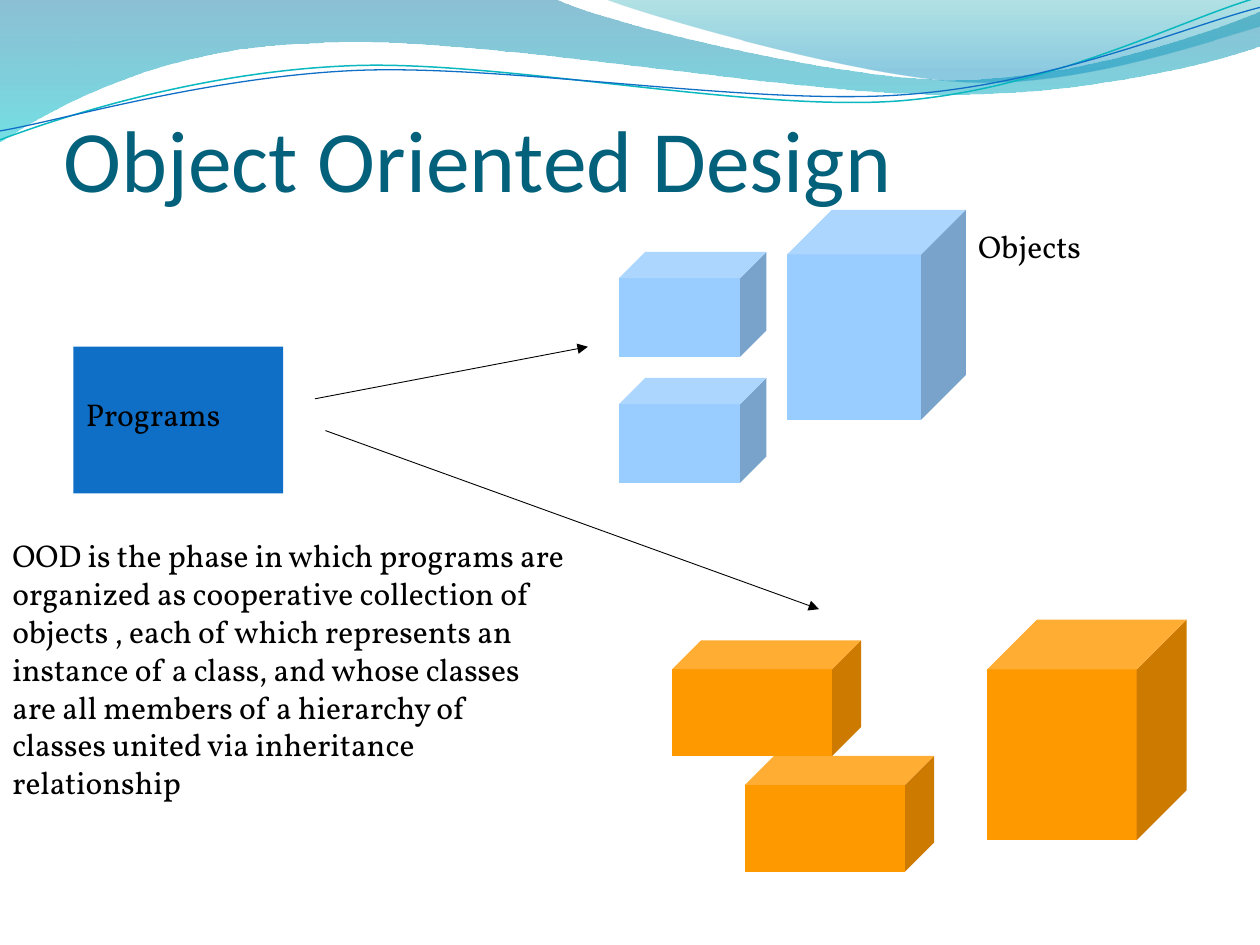
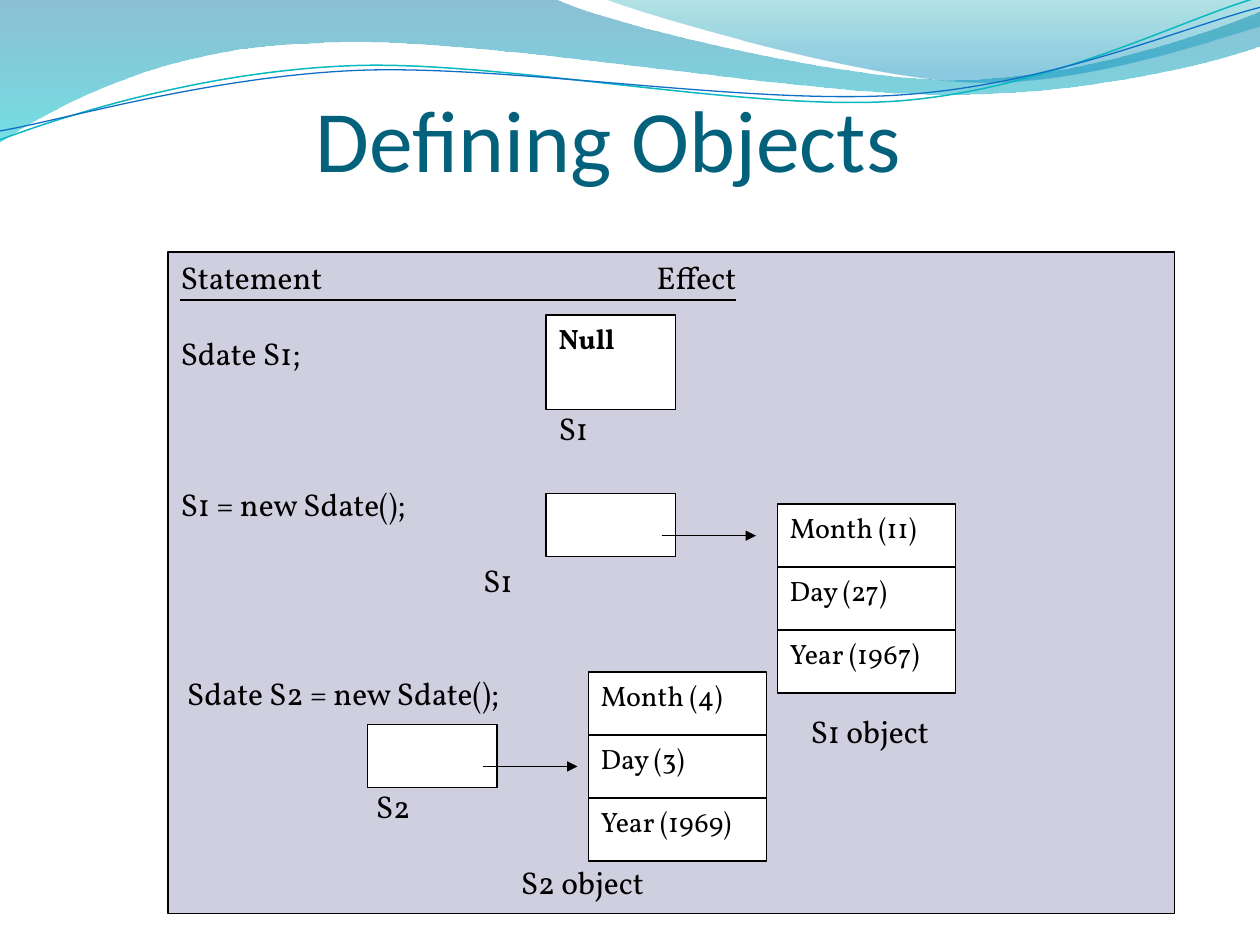
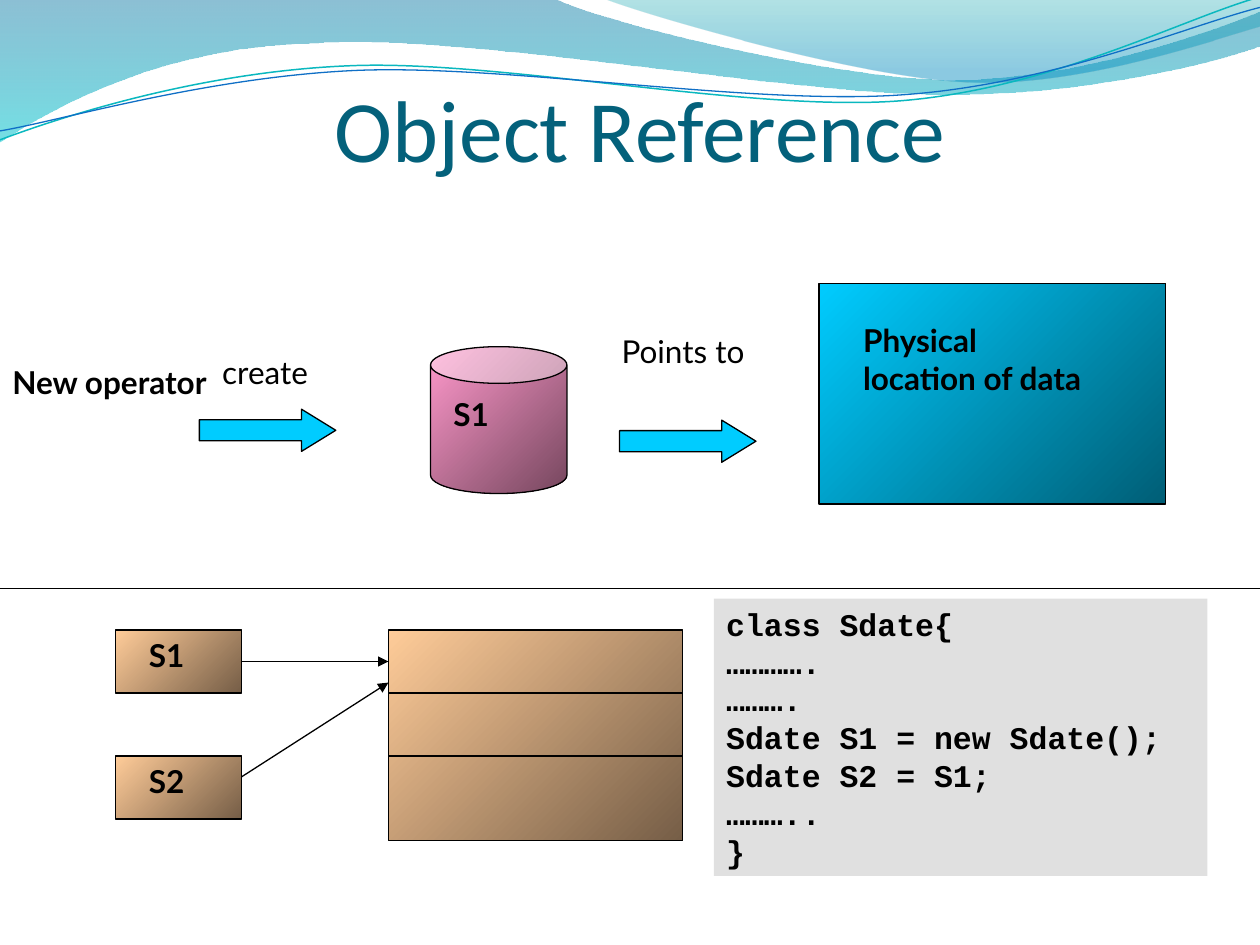
import pptx
import pptx.util
import pptx.dml.color
import pptx.enum.shapes
import pptx.enum.text
import pptx.oxml.ns
from lxml import etree

Cm, Pt = pptx.util.Cm, pptx.util.Pt
SHAPE = pptx.enum.shapes.MSO_SHAPE
ALIGN = pptx.enum.text.PP_ALIGN
ANCHOR = pptx.enum.text.MSO_ANCHOR
qn = pptx.oxml.ns.qn

WIDE, HIGH = 25.4, 19.05
SERIF, SANS, MONO, HEAD = "Vollkorn", "Lato", "Courier New", "Calibri"
ROW = 1.27   # height of a small box
LINE = 21.6  # pitch of 18 pt text, in points
TILT = 357.3  # turn of the two wave lines, in degrees

COLORS = {
    "black": "000000", "white": "FFFFFF", "title": "04617B",
    "blue": "0F6FC6", "teal": "0AB8BF", "sky": "99CCFF",
    "orange": "FF9900", "board": "CFCFDF", "cyan": "00CCFF", "gray": "E0E0E0",
    "deep": "0074A1", "aqua": "00C6CF", "sea": "00A1A9", "azure": "008BBF",
    "pink": "FF99CC", "plum": "76475E", "navy": "005E76",
    "sand": "FFCC99", "brown": "765E47",
}
PINK, CYAN, SAND = ("pink", "plum"), ("cyan", "navy"), ("sand", "brown")

# Wave outlines in cm: two numbers are a line, six are a curve
BAND = [(0, 0), (11.18, -0.03),
        (12.09, 0.43, 16.87, 1.6, 19.25, 1.6),
        (21.67, 1.6, 24.33, 0.66, 25.4, 0.23), (25.43, 0.91),
        (24.97, 1.12, 22.1, 1.93, 18.95, 1.9),
        (15.8, 1.9, 9.7, 0.71, 6.53, 0.86),
        (3.28, 0.91, 1.17, 2.11, -0.03, 2.87)]
CREST = [(12.17, -0.03), (12.93, 0.28, 17.32, 1.57, 19.53, 1.65),
         (21.74, 1.75, 24.41, 0.81, 25.4, 0.53), (25.4, 0)]
UPPER = [(-0.05, 2.22), (1.19, 1.82, 4.02, 1.04, 7.05, 1.06),
         (10.05, 1.07, 15.02, 2.37, 18.08, 2.29),
         (21.13, 2.2, 23.87, 0.91, 25.41, 0.55)]
LOWER = [(-0.04, 2.04), (1.16, 1.9, 4.18, 1.15, 7.2, 1.16),
         (10.25, 1.18, 15.13, 2.25, 18.18, 2.17),
         (21.21, 2.1, 23.93, 1.06, 25.45, 0.75)]


def color(name):
    return pptx.dml.color.RGBColor.from_string(COLORS[name])


# Fills and lines
def blend(shape, names, angle=45, ends=(0, 1), alphas=()):
    shape.fill.gradient()
    shape.fill.gradient_angle = 360 - angle
    for stop, name, end in zip(shape.fill.gradient_stops, names, ends):
        stop.color.rgb = color(name)
        stop.position = end
    for stop, alpha in zip(shape.element.iter(qn("a:gs")), alphas):
        etree.SubElement(stop[0], qn("a:alpha"), val=str(alpha * 1000))


def paint(shape, fill=None, line=None, width=0.75):
    shape.shadow.inherit = False
    if isinstance(fill, tuple):
        blend(shape, fill)
    elif fill:
        shape.fill.solid()
        shape.fill.fore_color.rgb = color(fill)
    else:
        shape.fill.background()
    if line:
        shape.line.color.rgb = color(line)
        shape.line.width = Pt(width)
    else:
        shape.line.fill.background()


# Waves, shared through the layout
def wave(slide, parts, close):
    points = [(Cm(part[i]), Cm(part[i + 1]))
              for part in parts for i in range(0, len(part), 2)]
    pen = slide.shapes.build_freeform(*points[0], scale=1.0)
    pen.add_line_segments(points[1:], close=close)
    shape = pen.convert_to_shape()
    legs = iter(list(shape.element.iter(qn("a:lnTo"))))
    for part in parts[1:]:
        leg = next(legs)
        if len(part) == 6:
            curve = etree.Element(qn("a:cubicBezTo"))
            leg.addprevious(curve)
            for old in (leg, next(legs), next(legs)):
                curve.append(old[0])
                old.getparent().remove(old)
    return shape


def waves(slide, layout):
    for holder in list(layout.placeholders):
        holder.element.getparent().remove(holder.element)
    for parts, names, ends, alphas in (
            (BAND, ("deep", "aqua"), (0, 1), (45, 55)),
            (CREST, ("sea", "azure"), (0, 0.8), (30, 45))):
        shape = wave(slide, parts, True)
        paint(shape)
        blend(shape, names, 90, ends, alphas)
    for parts, name, width in ((UPPER, "teal", 0.85), (LOWER, "blue", 0.75)):
        shape = wave(slide, parts, False)
        paint(shape, line=name, width=width)
        shape.rotation = TILT
    for shape in list(slide.shapes):
        layout.shapes.element.append(shape.element)


# Text
def write(shape, lines, font=SERIF, size=18, bold=False, ink="black",
          align=ALIGN.LEFT):
    frame = shape.text_frame
    frame.word_wrap = True
    frame.vertical_anchor = ANCHOR.TOP
    for i, line in enumerate(lines):
        para = frame.add_paragraph() if i else frame.paragraphs[0]
        para.text = line
        para.alignment = align
        para.font.name = font
        para.font.size = Pt(size)
        para.font.bold = bold
        para.font.color.rgb = color(ink)
    return frame


def label(slide, text, x, y, w, h=1.02, **style):
    box = slide.shapes.add_textbox(Cm(x), Cm(y), Cm(w), Cm(h))
    return write(box, [text], **style)


def title(slide, text, x, y, w, h, align=ALIGN.LEFT):
    frame = label(slide, text, x, y, w, h, font=HEAD, size=50, ink="title",
                  align=align)
    frame.vertical_anchor = ANCHOR.BOTTOM
    frame.margin_left = frame.margin_right = frame.margin_bottom = 0


# Shapes and lines
def block(slide, kind, x, y, w, h, fill, line=None, adjust=()):
    shape = slide.shapes.add_shape(kind, Cm(x), Cm(y), Cm(w), Cm(h))
    for i, value in enumerate(adjust):
        shape.adjustments[i] = value
    paint(shape, fill, line)
    return shape


def box(slide, x, y, w, h, fill="white", line="black"):
    return block(slide, SHAPE.RECTANGLE, x, y, w, h, fill, line)


def stack(slide, x, y, rows):
    for i, text in enumerate(rows):
        write(box(slide, x, y + i * ROW, 3.6, ROW), [text], size=16)


def rule(slide, x1, y1, x2, y2, width=0.75, arrow=False):
    line = slide.shapes.add_connector(
        pptx.enum.shapes.MSO_CONNECTOR.STRAIGHT,
        Cm(x1), Cm(y1), Cm(x2), Cm(y2))
    line.line.color.rgb = color("black")
    line.line.width = Pt(width)
    if arrow:
        etree.SubElement(line.element.spPr.find(qn("a:ln")),
                         qn("a:tailEnd"), type="triangle")
    etree.SubElement(line.element.spPr, qn("a:effectLst"))
    return line


# Slides
def design(slide):
    title(slide, "Object Oriented Design", 1.28, 1.05, 23.06, 3.18)
    box(slide, 1.48, 6.99, 4.23, 2.96, "blue", None)
    label(slide, "Programs", 1.48, 7.84, 5.72)
    for x, y, w, h, fill in (
            (12.48, 5.08, 2.97, 2.11, "sky"),
            (12.48, 7.62, 2.97, 2.11, "sky"),
            (15.87, 4.23, 3.6, 4.23, "sky"),
            (15.02, 15.24, 3.81, 2.33, "orange"),
            (13.55, 12.91, 3.81, 2.33, "orange"),
            (19.9, 12.49, 4.02, 4.45, "orange")):
        block(slide, SHAPE.CUBE, x, y, w, h, fill)
    label(slide, "OOD is the phase in which programs are organized as "
          "cooperative collection of objects , each of which represents an "
          "instance of a class, and whose classes are all members of a "
          "hierarchy of classes united via inheritance relationship",
          0, 10.69, 11.63, 8.36)
    rule(slide, 6.35, 8.04, 11.85, 6.99, 0.5, arrow=True)
    rule(slide, 6.56, 8.68, 16.51, 12.28, 0.5, arrow=True)
    label(slide, "Objects", 19.47, 4.45, 5.93)


def define(slide):
    title(slide, "Defining Objects", 6.37, 1.47, 12.47, 2.36)
    board = box(slide, 3.39, 5.08, 20.29, 13.33, "board")
    # Text, indent in cm, lines of space before
    notes = [("Statement\tEffect", 0, 0), ("Sdate S1;", 0, 1),
             ("S1", 7.62, 1), ("S1 = new Sdate();", 0, 1), ("S1", 6.1, 1),
             ("Sdate S2 = new Sdate();", 0.13, 2), ("S1 object", 12.7, 0),
             ("S2", 3.94, 1), ("S2 object", 6.86, 1)]
    frame = write(board, [text for text, _, _ in notes])
    for para, (text, indent, gap) in zip(frame.paragraphs, notes):
        props = para.font._element.getparent()
        props.set("marL", str(Cm(indent)))
        if gap:
            para.space_before = Pt(gap * LINE)
        if "\t" in text:
            tabs = etree.Element(qn("a:tabLst"))
            etree.SubElement(tabs, qn("a:tab"), pos=str(Cm(9.6)), algn="l")
            props.find(qn("a:defRPr")).addprevious(tabs)
    rule(slide, 3.63, 6.05, 14.83, 6.05)
    null = box(slide, 11.01, 6.35, 2.61, 1.9)
    write(null, ["Null"], size=16, bold=True)
    box(slide, 11.01, 9.95, 2.61, ROW)
    stack(slide, 15.67, 10.16, ["Month (11)", "Day (27)", "Year (1967)"])
    rule(slide, 13.34, 10.8, 15.24, 10.8, arrow=True)
    stack(slide, 11.86, 13.55, ["Month (4)", "Day (3)", "Year (1969)"])
    box(slide, 7.41, 14.6, 2.61, ROW)
    rule(slide, 9.74, 15.45, 11.64, 15.45, arrow=True)


def refer(slide):
    title(slide, "Object Reference", 6.56, 1.27, 12.7, 2.36, ALIGN.CENTER)
    # Operator, reference and data
    block(slide, SHAPE.CAN, 8.68, 6.99, 2.75, 2.96, PINK, "black", [0.269])
    label(slide, "S1", 8.89, 7.83, 1.9, 1.27, font=SANS, bold=True)
    label(slide, "New operator", 0, 7.2, 4.87, 2.29, font=SANS, bold=True)
    for x, y in ((4.02, 8.25), (12.49, 8.47)):
        block(slide, SHAPE.RIGHT_ARROW, x, y, 2.75, 0.85, "cyan", "black",
              [0.5, 0.812])
    box(slide, 16.51, 5.72, 6.99, 4.44, CYAN)
    label(slide, "Physical location of data", 17.15, 6.35, 5.08, 3.3,
          font=SANS, bold=True)
    label(slide, "Points to", 12.28, 6.56, 3.18, 2.29, font=SANS)
    label(slide, "create", 4.23, 6.99, 2.96, 1.27, font=SANS)
    rule(slide, 0, 11.86, WIDE, 11.86)
    # Two references to one object
    first, second = [box(slide, 2.33, y, 2.54, ROW, SAND)
                     for y in (12.7, 15.24)]
    box(slide, 7.83, 12.7, 5.93, 4.24, SAND)
    for i in (1, 2):
        rule(slide, 7.83, 12.7 + i * ROW, 13.76, 12.7 + i * ROW)
    for text, y in (("S1", 12.7), ("S2", 15.24)):
        label(slide, text, 2.75, y, 2.12, ROW, font=SANS, bold=True)
    middle = 12.7 + ROW / 2
    link = rule(slide, 4.87, middle, 7.83, middle, arrow=True)
    link.begin_connect(first, 3)
    rule(slide, 4.87, 15.66, 7.83, 13.76, arrow=True)
    # Code
    code = box(slide, 14.39, 12.07, 9.95, 5.59, "gray", None)
    write(code, ["class Sdate{", "………….", "……….", "Sdate S1 = new Sdate();",
                 "Sdate S2 = S1;", "………..", "}"],
          font=MONO, bold=True, align=ALIGN.JUSTIFY)


def main():
    deck = pptx.Presentation()
    deck.slide_width, deck.slide_height = Cm(WIDE), Cm(HIGH)
    layout = deck.slide_layouts[6]
    slides = [deck.slides.add_slide(layout) for _ in range(3)]
    waves(slides[0], layout)
    for slide, build in zip(slides, (design, define, refer)):
        build(slide)
    deck.save("out.pptx")


if __name__ == "__main__":
    main()
